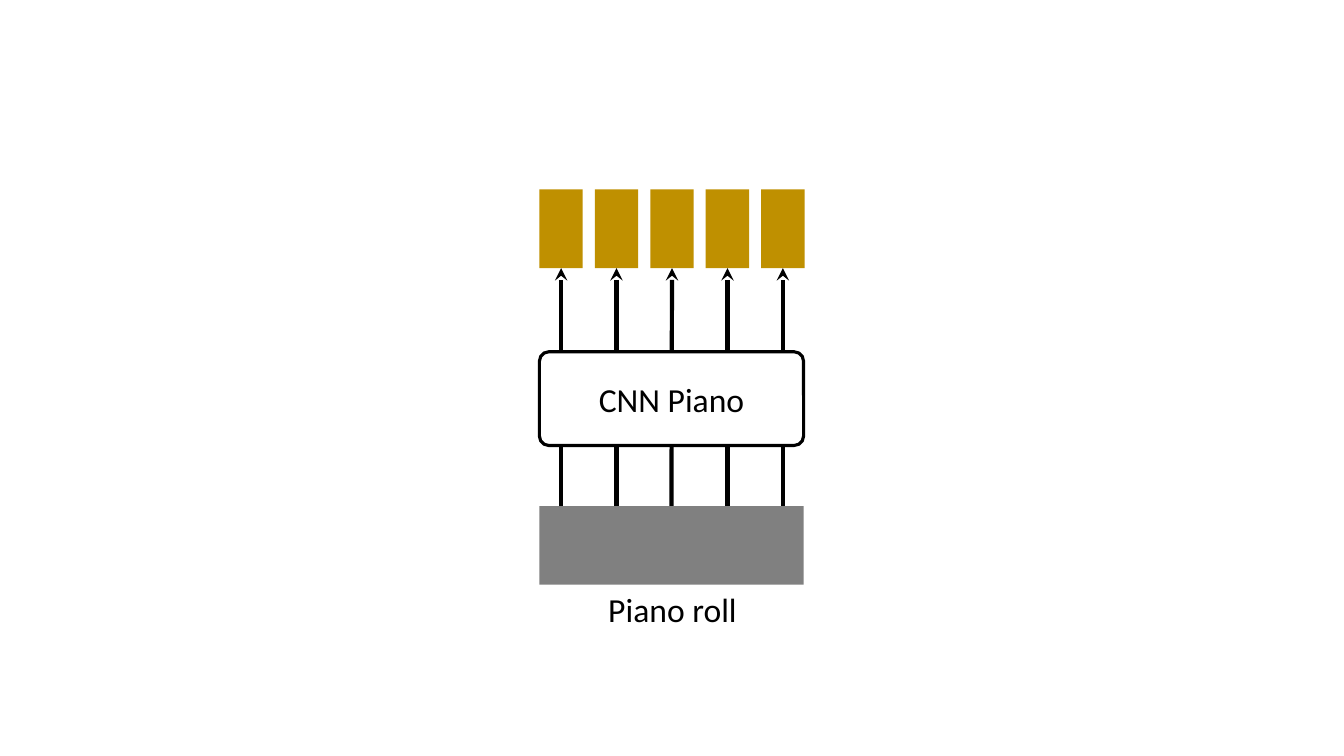
from lxml import etree
from pptx import Presentation
from pptx.dml.color import RGBColor
from pptx.enum import shapes, text
from pptx.oxml.ns import qn
from pptx.util import Inches, Pt

COLORS = {"black": "000000", "white": "FFFFFF", "gray": "808080", "gold": "BF9000"}
LEFT, WIDTH = 5.35, 2.62
BAR_COUNT, BAR_WIDTH, BAR_STEP = 5, 0.43, 0.55
BAR_TOP, BAR_HEIGHT = 1.88, 0.78
ROLL_TOP = 5.02


def add_block(parent, kind, left, top, width, height, fill):
    sp = parent.add_shape(kind, Inches(left), Inches(top), Inches(width), Inches(height))
    sp.shadow.inherit = False
    sp.fill.solid()
    sp.fill.fore_color.rgb = RGBColor.from_string(COLORS[fill])
    sp.line.fill.background()
    return sp


def write_label(sp, label):
    tf = sp.text_frame
    tf.word_wrap = True
    p = tf.paragraphs[0]
    p.text = label
    p.alignment = text.PP_ALIGN.CENTER
    p.font.name = "Calibri"
    p.font.size = Pt(24)
    p.font.color.rgb = RGBColor.from_string(COLORS["black"])
    return tf


prs = Presentation()
prs.slide_width, prs.slide_height = Inches(13.33), Inches(7.5)
s = prs.slides.add_slide(prs.slide_layouts[6])
rect = shapes.MSO_SHAPE.RECTANGLE

# Input piano roll and output feature bars
roll = add_block(s.shapes, rect, LEFT, ROLL_TOP, WIDTH, 0.78, "gray")
group = s.shapes.add_group_shape()
bars = [add_block(group.shapes, rect, LEFT + i * BAR_STEP, BAR_TOP, BAR_WIDTH, BAR_HEIGHT, "gold")
        for i in range(BAR_COUNT)]

# Arrows from the roll to each bar, passing behind the network box
for i, bar in enumerate(bars):
    x = Inches(LEFT + i * BAR_STEP + BAR_WIDTH / 2)
    arrow = s.shapes.add_connector(shapes.MSO_CONNECTOR.STRAIGHT, x, Inches(ROLL_TOP),
                                   x, Inches(BAR_TOP + BAR_HEIGHT))
    if i == BAR_COUNT // 2:
        arrow.begin_connect(roll, 0)
    arrow.end_connect(bar, 2)
    arrow.line.width = Pt(3)
    arrow.line.color.rgb = RGBColor.from_string(COLORS["black"])
    etree.SubElement(arrow.line._get_or_add_ln(), qn("a:tailEnd"), type="stealth")
    etree.SubElement(arrow._element.spPr, qn("a:effectLst"))

# Network box
cnn = add_block(s.shapes, shapes.MSO_SHAPE.ROUNDED_RECTANGLE, LEFT, 3.49, WIDTH, 0.93, "white")
cnn.adjustments[0] = 0.1
cnn.line.width = Pt(2.25)
cnn.line.color.rgb = RGBColor.from_string(COLORS["black"])
write_label(cnn, "CNN Piano").vertical_anchor = text.MSO_ANCHOR.MIDDLE

# Caption under the roll
caption = s.shapes.add_textbox(Inches(4.81), Inches(5.79), Inches(3.72), Inches(0.5))
write_label(caption, "Piano roll").auto_size = text.MSO_AUTO_SIZE.SHAPE_TO_FIT_TEXT

prs.save("out.pptx")
